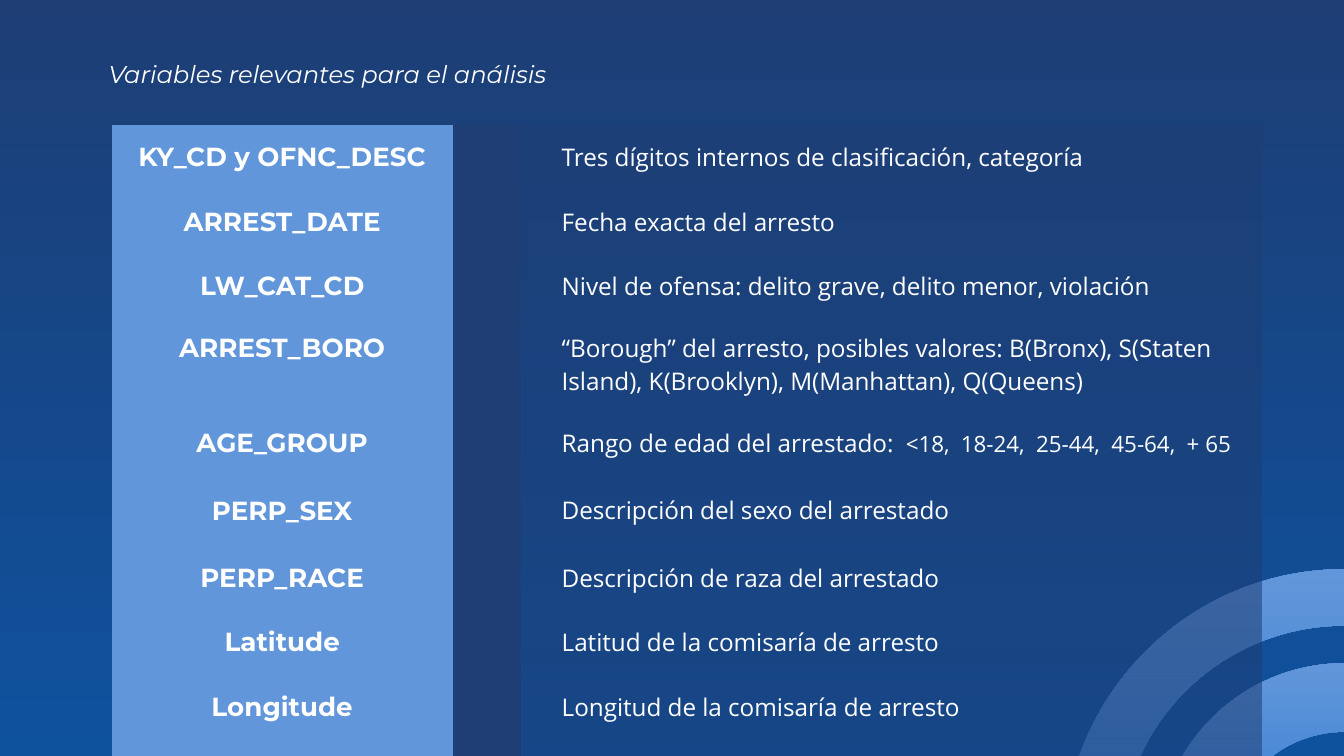
import pptx
import pptx.util
import pptx.dml.color
import pptx.enum.shapes
import pptx.enum.text
import pptx.oxml.ns
import lxml.etree

Inches = pptx.util.Inches
ALIGN = pptx.enum.text.PP_ALIGN
ANCHOR = pptx.enum.text.MSO_ANCHOR
NAVY, BLUE, SKY, WHITE = "1E3E75", "0066C7", "6296DA", "FFFFFF"
SLIDE_WIDTH = 10
SLIDE_HEIGHT = SLIDE_WIDTH * 9 / 16

# Variable name, then the runs of its description as (text, size)
VARIABLES = [
    ("KY_CD y OFNC_DESC", [("Tres dígitos internos de clasificación, categoría", 13)]),
    ("ARREST_DATE", [("Fecha exacta del arresto", 13)]),
    ("LW_CAT_CD", [("Nivel de ofensa: delito grave, delito menor, violación", 13)]),
    ("ARREST_BORO", [("“Borough” del arresto, posibles valores: B(Bronx), S(Staten Island), "
                      "K(Brooklyn), M(Manhattan), Q(Queens)", 13)]),
    ("AGE_GROUP", [("Rango de edad del arrestado:", 13),
                   ("\t<18,\t18-24,\t25-44,\t45-64,\t+ 65", 12)]),
    ("PERP_SEX", [("Descripción del sexo del arrestado", 13)]),
    ("PERP_RACE", [("Descripción de raza del arrestado", 13)]),
    ("Latitude", [("Latitud de la comisaría de arresto", 13)]),
    ("Longitude", [("Longitud de la comisaría de arresto", 13)]),
    ("", []),
]
COLUMNS = [2.54, 0.51, 5.51]
ROW_HEIGHT = 0.48
TALL_ROWS = {"ARREST_BORO": 0.69, "PERP_SEX": 0.52}
AGE_TABS = [2.56, 2.97, 3.53, 4.09, 4.65]


def rgb(value):
    return pptx.dml.color.RGBColor.from_string(value)


def add_xml(parent, tag, **attributes):
    return lxml.etree.SubElement(parent, pptx.oxml.ns.qn(tag), attributes)


def fill_solid(fill, color, alpha=100):
    fill.solid()
    fill.fore_color.rgb = rgb(color)
    if alpha < 100:
        add_xml(fill.fore_color._xFill[0], "a:alpha", val=str(alpha * 1000))


def fill_gradient(fill, start, end):
    """Vertical gradient from start (top) to end (bottom)."""
    fill.gradient()
    fill.gradient_angle = 270
    for stop, color, position in zip(fill.gradient_stops, (start, end), (0, 1)):
        stop.color.rgb = rgb(color)
        stop.position = position


def add_text(p, text, font="Open Sans", size=13, bold=False, italic=False, align=ALIGN.LEFT):
    p.alignment = align
    r = p.add_run()
    r.text = text
    r.font.name, r.font.size = font, pptx.util.Pt(size)
    r.font.bold, r.font.italic = bold, italic
    r.font.color.rgb = rgb(WHITE)


def set_margins(box, left=0.1, other=0.1):
    box.margin_left = Inches(left)
    box.margin_right = box.margin_top = box.margin_bottom = Inches(other)


def add_shape(s, kind, left, top, width, height):
    sp = s.shapes.add_shape(kind, Inches(left), Inches(top), Inches(width), Inches(height))
    sp.shadow.inherit = False
    sp.line.fill.background()
    return sp


def add_backdrop(s, width, height):
    shapes = pptx.enum.shapes.MSO_SHAPE
    fill_gradient(s.background.fill, NAVY, BLUE)
    veil = add_shape(s, shapes.RECTANGLE, 0, 0, width, height)
    fill_solid(veil.fill, NAVY, 49)
    # Concentric rings around a point below the right corner
    for radius, thickness in ((1.39, 0.51), (2.09, 0.42)):
        ring = add_shape(s, shapes.DONUT, width - radius, height + 0.7 - radius,
                         2 * radius, 2 * radius)
        ring.adjustments[0] = thickness / (2 * radius)
        ring.rotation = 180
        fill_gradient(ring.fill, BLUE, SKY)


def add_title(s, left, top, width, height):
    tf = s.shapes.add_textbox(Inches(left), Inches(top), Inches(width), Inches(height)).text_frame
    tf.word_wrap = True
    set_margins(tf)
    add_text(tf.paragraphs[0], "Variables relevantes para el análisis",
             font="Montserrat", italic=True)


def style_cell(cell, color, alpha=100):
    tc_pr = cell._tc.get_or_add_tcPr()
    for side in ("a:lnL", "a:lnR", "a:lnT", "a:lnB"):
        add_xml(add_xml(tc_pr, side, w="0"), "a:noFill")
    fill_solid(cell.fill, color, alpha)
    cell.vertical_anchor = ANCHOR.MIDDLE
    set_margins(cell, 0, 0)


def add_variables(s, left, top):
    heights = [TALL_ROWS.get(name, ROW_HEIGHT) for name, _ in VARIABLES]
    table = s.shapes.add_table(len(heights), len(COLUMNS), Inches(left), Inches(top),
                               Inches(sum(COLUMNS)), Inches(sum(heights))).table
    table.first_row = table.horz_banding = False
    for column, width in zip(table.columns, COLUMNS):
        column.width = Inches(width)
    for row, height, (name, runs) in zip(table.rows, heights, VARIABLES):
        row.height = Inches(height)
        label, gap, description = row.cells
        style_cell(label, SKY)
        style_cell(gap, NAVY)
        style_cell(description, NAVY, 56)
        if not name:
            continue
        set_margins(label)
        set_margins(description, left=0.3)
        add_text(label.text_frame.paragraphs[0], name, font="Montserrat", size=14,
                 bold=True, align=ALIGN.CENTER)
        p = description.text_frame.paragraphs[0]
        if name == "ARREST_BORO":  # level with the first line of its description
            label.vertical_anchor = ANCHOR.TOP
        if name == "AGE_GROUP":
            tabs = add_xml(p._p.get_or_add_pPr(), "a:tabLst")
            for position in AGE_TABS:
                add_xml(tabs, "a:tab", pos=str(Inches(position)), algn="l")
        for text, size in runs:
            add_text(p, text, size=size)


def main():
    prs = pptx.Presentation()
    prs.slide_width, prs.slide_height = Inches(SLIDE_WIDTH), Inches(SLIDE_HEIGHT)
    s = prs.slides.add_slide(prs.slide_layouts[6])
    add_backdrop(s, SLIDE_WIDTH, SLIDE_HEIGHT)
    add_variables(s, 0.83, 0.93)
    add_title(s, 0.71, 0.34, 8.66, 0.63)
    prs.save("out.pptx")


if __name__ == "__main__":
    main()
